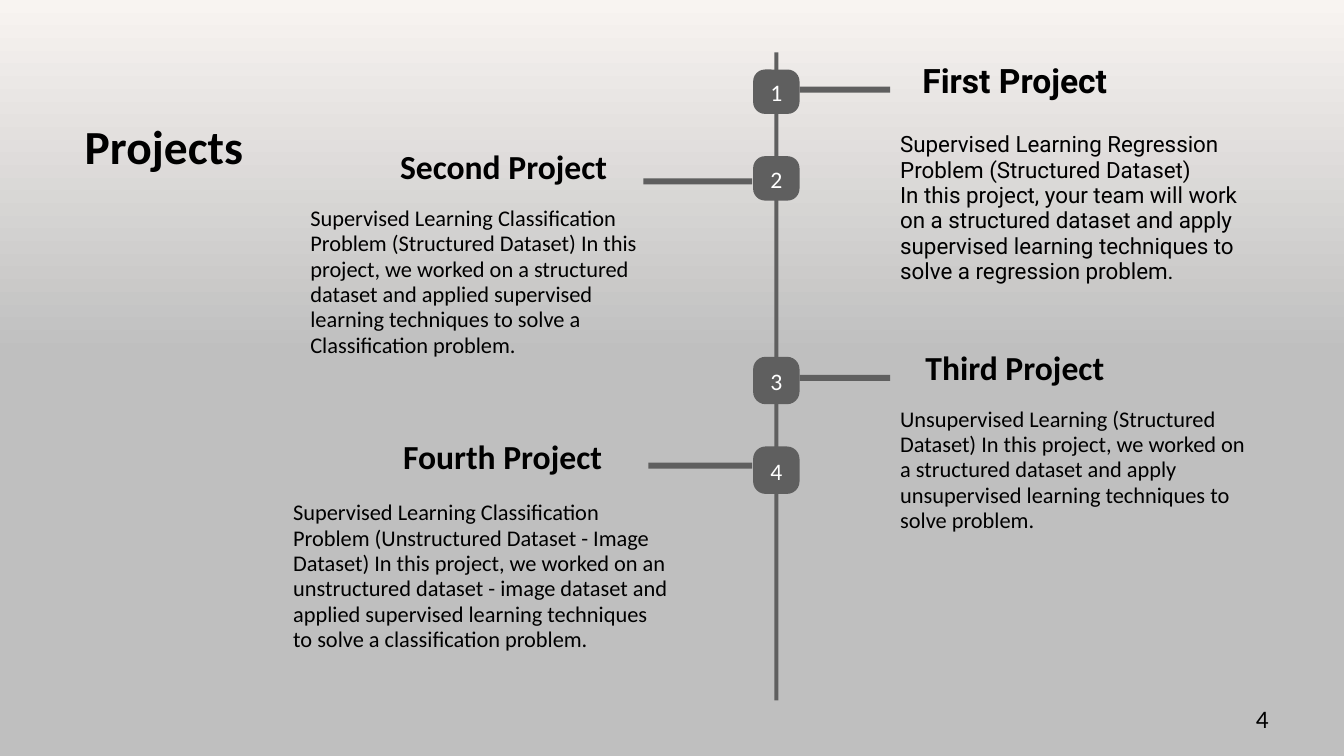
from dataclasses import dataclass

from pptx import Presentation
from pptx.dml.color import RGBColor
from pptx.enum.shapes import MSO_SHAPE as Shape
from pptx.enum.text import MSO_ANCHOR as Anchor, MSO_AUTO_SIZE as AutoSize, PP_ALIGN as Align
from pptx.util import Inches, Pt


@dataclass(frozen=True)
class Theme:
    ink: str = "000000"
    line: str = "5F5F5F"
    badge_text: str = "FFFFFF"
    bg_top: str = "F8F4F1"
    bg_bottom: str = "BFBFBF"
    font: str = "Calibri"
    first_font: str = "Roboto"
    title: float = 33.9
    heading: float = 24
    body: float = 16
    badge: float = 16.9
    number: float = 18


@dataclass(frozen=True)
class Project:
    name: str
    paragraphs: tuple
    badge: tuple
    bar: tuple
    heading: tuple
    body: tuple
    font: str = Theme.font


THEME = Theme()
BADGE_LEFT, BADGE_WIDTH = 7.47, 0.46
BAR_HEIGHT = 0.06
HEADING_SIZE = (2.47, 0.32)

PROJECTS = (
    Project(
        "First Project",
        ("Supervised Learning Regression Problem (Structured Dataset)",
         "In this project, your team will work on a structured dataset and apply "
         "supervised learning techniques to solve a regression problem."),
        badge=(0.69, 0.44), bar=(7.93, 0.86, 0.9), heading=(8.83, 0.7),
        body=(8.83, 1.26, 3.76, 2.04), font=THEME.first_font),
    Project(
        "Second Project",
        ("Supervised Learning Classification Problem (Structured Dataset) In this "
         "project, we worked on a structured dataset and applied supervised learning "
         "techniques to solve a Classification problem.",),
        badge=(1.55, 0.44), bar=(6.38, 1.77, 1.08), heading=(3.76, 1.55),
        body=(2.98, 1.99, 3.76, 1.88)),
    Project(
        "Third Project",
        ("Unsupervised Learning (Structured Dataset) In this project, we worked on a "
         "structured dataset and apply unsupervised learning techniques "
         "to solve problem.",),
        badge=(3.54, 0.47), bar=(7.93, 3.72, 0.9), heading=(8.83, 3.55),
        body=(8.83, 3.98, 3.76, 2.18)),
    Project(
        "Fourth Project",
        ("Supervised Learning Classification Problem (Unstructured Dataset "
         "- Image Dataset) In this project, we worked on an unstructured dataset - "
         "image dataset and applied supervised learning techniques to solve a "
         "classification problem.",),
        badge=(4.43, 0.47), bar=(6.43, 4.59, 1.03), heading=(3.75, 4.43),
        body=(2.81, 4.91, 3.93, 2.04)),
)


def set_attrs(target, values):
    for name, value in values.items():
        setattr(target, name, value)


def box(left, top, width, height):
    return [Inches(v) for v in (left, top, width, height)]


def write(sp, paragraphs, size, spacing, font=THEME.font, color=THEME.ink,
          bold=False, align=Align.LEFT, anchor=Anchor.TOP, inset=None):
    tf = sp.text_frame
    set_attrs(tf, {"word_wrap": True, "auto_size": AutoSize.NONE,
                   "vertical_anchor": anchor})
    if inset is not None:
        set_attrs(tf, dict.fromkeys(
            ("margin_left", "margin_top", "margin_right", "margin_bottom"),
            Inches(inset)))
    for i, text in enumerate(paragraphs):
        p = tf.add_paragraph() if i else tf.paragraphs[0]
        set_attrs(p, {"alignment": align, "line_spacing": spacing})
        r = p.add_run()
        r.text = text
        set_attrs(r.font, {"name": font, "size": Pt(size), "bold": bold})
        r.font.color.rgb = RGBColor.from_string(color)


def add_text(s, place, paragraphs, size, spacing, **style):
    sp = s.shapes.add_textbox(*box(*place))
    write(sp, paragraphs, size, spacing, **style)


def add_block(s, kind, place):
    sp = s.shapes.add_shape(kind, *box(*place))
    sp.shadow.inherit = False
    sp.fill.solid()
    sp.fill.fore_color.rgb = RGBColor.from_string(THEME.line)
    sp.line.fill.background()
    return sp


def add_badge(s, number, top, height):
    sp = add_block(s, Shape.ROUNDED_RECTANGLE, (BADGE_LEFT, top, BADGE_WIDTH, height))
    sp.adjustments[0] = 0.267
    write(sp, [str(number)], THEME.badge, Pt(21.2), color=THEME.badge_text,
          align=Align.CENTER, anchor=Anchor.MIDDLE, inset=0)


def add_project(s, number, project):
    left, top, width = project.bar
    add_block(s, Shape.RECTANGLE, (left, top, width, BAR_HEIGHT))
    add_badge(s, number, *project.badge)
    add_text(s, project.heading + HEADING_SIZE, [project.name], THEME.heading, Pt(21.2),
             font=project.font, bold=True, align=Align.CENTER, inset=0)
    add_text(s, project.body, project.paragraphs, THEME.body, Pt(18.1), font=project.font)


def add_title(s, text):
    sp = s.shapes.title
    left, top, width, height = box(0.74, 1.09, 2.07, 0.63)
    set_attrs(sp, {"left": left, "top": top, "width": width, "height": height})
    write(sp, [text], THEME.title, Pt(42.3), bold=True)


def paint_background(s):
    fill = s.background.fill
    fill.gradient()
    fill.gradient_angle = 270
    stops = ((0, THEME.bg_top), (0.47, THEME.bg_bottom))
    for stop, (position, color) in zip(fill.gradient_stops, stops):
        stop.position = position
        stop.color.rgb = RGBColor.from_string(color)


def main():
    prs = Presentation()
    set_attrs(prs, {"slide_width": Inches(13.33), "slide_height": Inches(7.5)})
    s = prs.slides.add_slide(prs.slide_layouts[5])
    paint_background(s)
    add_title(s, "Projects")
    add_text(s, (11.94, 6.95, 0.74, 0.4), ["4"], THEME.number, 0.9,
             align=Align.RIGHT, anchor=Anchor.MIDDLE)
    add_block(s, Shape.RECTANGLE, (7.68, 0.52, 0.04, 6.43))
    for number, project in enumerate(PROJECTS, 1):
        add_project(s, number, project)
    prs.save("out.pptx")


if __name__ == "__main__":
    main()
